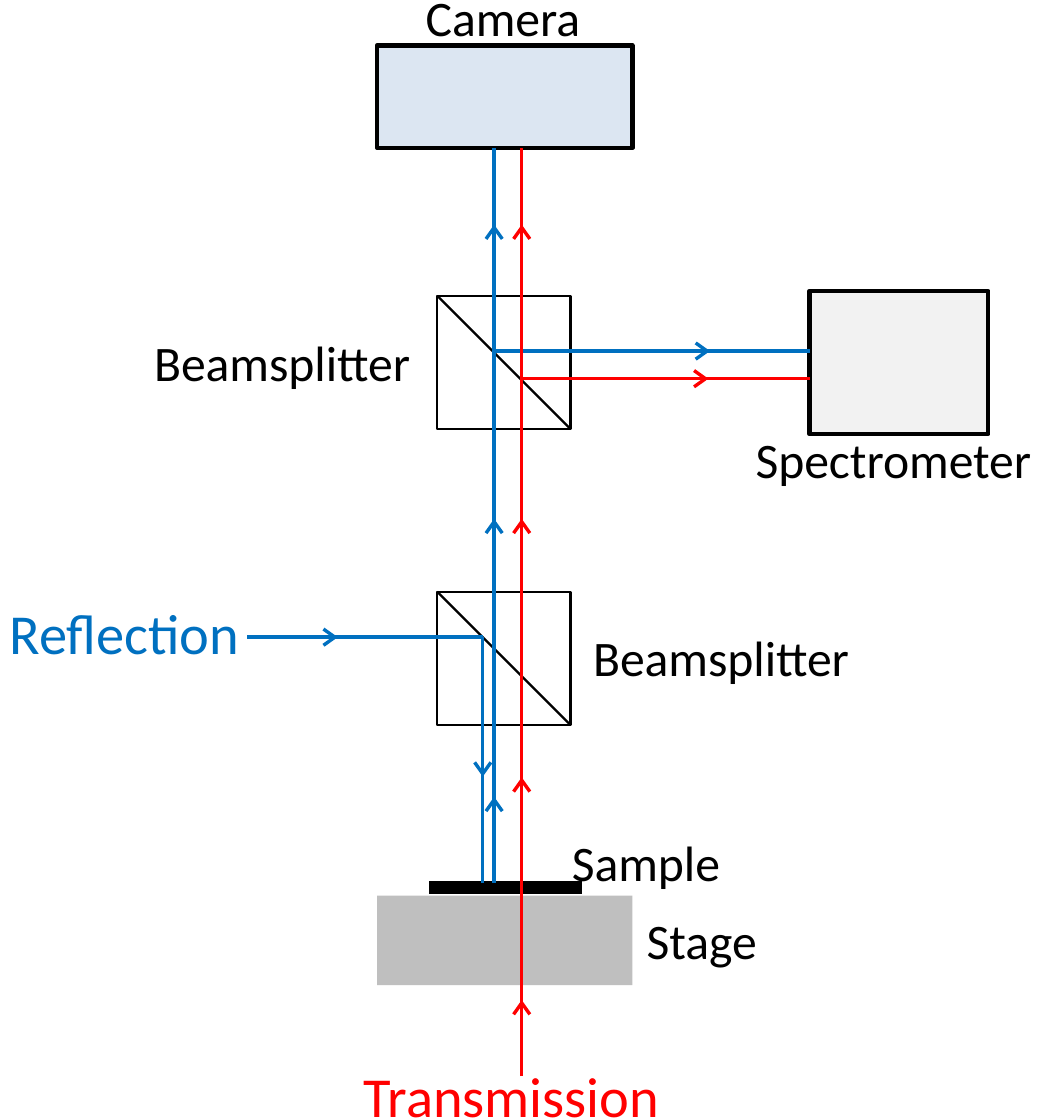
from math import hypot

from lxml import etree
from pptx import Presentation
from pptx.dml.color import RGBColor
from pptx.enum.shapes import MSO_CONNECTOR, MSO_SHAPE
from pptx.oxml.ns import qn
from pptx.util import Cm, Inches, Pt

RECT = MSO_SHAPE.RECTANGLE
LINE = MSO_CONNECTOR.STRAIGHT
BLACK, BLUE, RED = "000000", "0070C0", "FF0000"


def paint(item, hue):
    """Set a fill or font colour from a hex string."""
    if hasattr(item, "solid"):
        item.solid()
        item.fore_color.rgb = RGBColor.from_string(hue)
    else:
        item.color.rgb = RGBColor.from_string(hue)


def block(slide, x, y, w, h, fill=None, line=None):
    """Draw a rectangle with an optional fill and outline."""
    shape = slide.shapes.add_shape(RECT, Inches(x), Inches(y), Inches(w), Inches(h))
    shape.shadow.inherit = False
    if fill:
        paint(shape.fill, fill)
    else:
        shape.fill.background()
    if line:
        paint(shape.line.fill, BLACK)
        shape.line.width = Pt(line)
    else:
        shape.line.fill.background()


def stroke(slide, x, y, end_x, end_y, hue=BLACK, width=1):
    """Draw a straight line without a shadow."""
    line = slide.shapes.add_connector(
        LINE, Inches(x), Inches(y), Inches(end_x), Inches(end_y))
    paint(line.line.fill, hue)
    line.line.width = Pt(width)
    etree.SubElement(line._element.spPr, qn("a:effectLst"))


def label(slide, text, x, y, w, h=0.47, hue=BLACK, size=22):
    """Write one line of text."""
    box = slide.shapes.add_textbox(Inches(x), Inches(y), Inches(w), Inches(h))
    frame = box.text_frame
    frame.word_wrap = True
    frame.text = text
    font = frame.paragraphs[0].runs[0].font
    font.name, font.size = "Calibri", Pt(size)
    paint(font, hue)


def arrow(slide, x, y, dx, dy, hue):
    """Draw an open arrowhead with its tip at x, y."""
    back, side = 0.07, 0.05
    points = [
        (x - back * dx - side * dy, y - back * dy + side * dx),
        (x, y),
        (x - back * dx + side * dy, y - back * dy - side * dx),
    ]
    points = [(Inches(px), Inches(py)) for px, py in points]
    form = slide.shapes.build_freeform(*points[0])
    form.add_line_segments(points[1:], close=False)
    head = form.convert_to_shape()
    head.shadow.inherit = False
    head.fill.background()
    paint(head.line.fill, hue)
    head.line.width = Pt(1.5)


def beam(slide, hue, x, y, end_x, end_y, *heads):
    """Draw a light beam with arrowheads at distances from its start."""
    stroke(slide, x, y, end_x, end_y, hue, 1.5)
    size = hypot(end_x - x, end_y - y)
    dx, dy = (end_x - x) / size, (end_y - y) / size
    for far in heads:
        arrow(slide, x + far * dx, y + far * dy, dx, dy, hue)


def stage(slide, x, y, w, h):
    """Draw the stage with the sample on top."""
    block(slide, x, y, w, h, "BFBFBF")
    stroke(slide, x + 0.32, y - 0.05, x + w - 0.31, y - 0.05, width=6)
    label(slide, "Stage", x + w - 0.01, y + 0.04, 1.34)
    label(slide, "Sample", x + 1.1, y - 0.44, 1.34)


def splitter(slide, x, y, size, text_x, text_y):
    """Draw a beamsplitter cube with its label."""
    stroke(slide, x, y, x + size, y + size)
    block(slide, x, y, size, size, line=1)
    label(slide, "Beamsplitter", x + text_x, y + text_y, 1.81)


def camera(slide, x, y, w, h):
    """Draw the camera with its label above."""
    block(slide, x, y, w, h, "DCE6F2", 2)
    label(slide, "Camera", x + 0.2, y - 0.41, 1.17)


def spectrometer(slide, x, y, w, h):
    """Draw the spectrometer with its label below."""
    block(slide, x, y, w, h, "F2F2F2", 2)
    label(slide, "Spectrometer", x - 0.43, y + h - 0.08, 1.97)


def light(slide, left, right, top, side):
    """Draw the reflected and transmitted beams with their labels."""
    floor, entry = top + 4.52, top + 3.01
    turn = left - 0.07
    beam(slide, BLUE, 1.52, entry, turn, entry, 0.54)
    beam(slide, BLUE, turn, entry, turn, floor, 0.84)
    beam(slide, BLUE, left, floor, left, top, 0.51, 2.22, 4.03)
    beam(slide, BLUE, left, top + 1.25, side, top + 1.25, 1.31)
    beam(slide, RED, right, top + 1.42, side, top + 1.42, 1.13)
    beam(slide, RED, right, top + 5.71, right, top, 0.45, 1.82, 3.41, 5.22)
    label(slide, "Reflection", -0.04, entry - 0.29, 1.65, 0.52, BLUE, 25)
    label(slide, "Transmission", right - 1.07, top + 5.57, 2.08, 0.52, RED, 25)


def main():
    """Build the optical setup slide."""
    deck = Presentation()
    deck.slide_width = Cm(16.5)
    deck.slide_height = Cm(17.5)
    slide = deck.slides.add_slide(deck.slide_layouts[6])
    stage(slide, 2.32, 5.51, 1.57, 0.55)
    splitter(slide, 2.69, 3.64, 0.82, 0.86, 0.17)
    splitter(slide, 2.69, 1.82, 0.82, -1.84, 0.17)
    camera(slide, 2.32, 0.28, 1.57, 0.63)
    spectrometer(slide, 4.98, 1.79, 1.1, 0.88)
    light(slide, 3.04, 3.21, 0.91, 4.98)
    deck.save("out.pptx")


if __name__ == "__main__":
    main()
